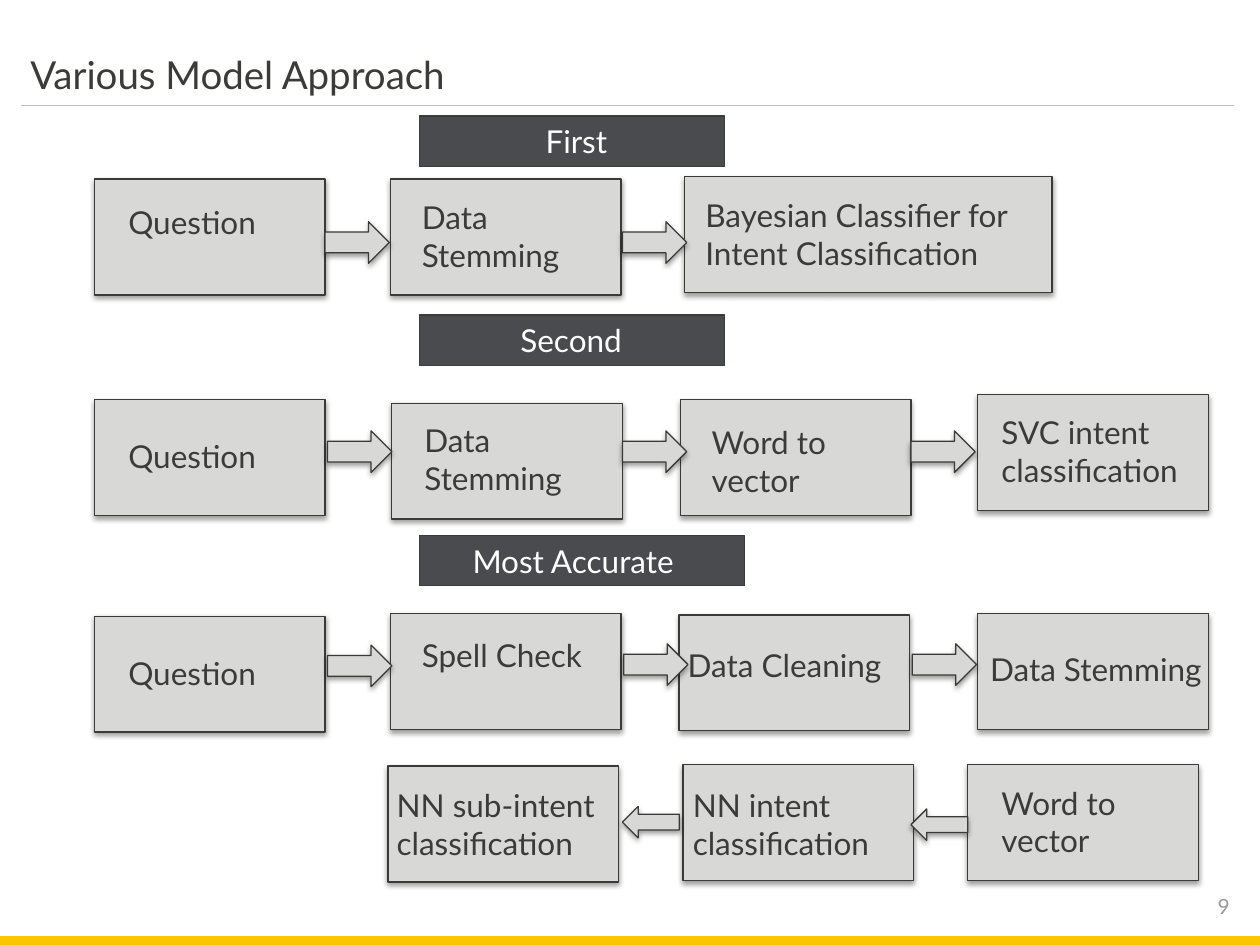
from lxml import etree
from pptx import Presentation
from pptx.dml.color import RGBColor
from pptx.enum.shapes import MSO_CONNECTOR, MSO_SHAPE
from pptx.enum.text import MSO_ANCHOR, PP_ALIGN
from pptx.oxml.ns import qn
from pptx.util import Inches, Pt

INK, OUTLINE, PANEL, BANNER = "3B3C39", "3A3B38", "D8D9D7", "494B4E"
STEP_WIDTH, STEP_HEIGHT = 1.83, 0.92
LINE_HEIGHTS = {1: 0.4, 2: 0.71}
ARROW_SIZES = {MSO_SHAPE.RIGHT_ARROW: (0.51, 0.33), MSO_SHAPE.LEFT_ARROW: (0.45, 0.25)}

# Banner: label, top, width, text indent
BANNERS = [
    ("First", 0.92, 2.42, 1.0),
    ("Second", 2.5, 2.42, 0.8),
    ("Most Accurate", 4.25, 2.58, 0.42),
]
# Row: top, arrow kind, steps, arrows (x, y).
# Step: label, lines, box (x, y, width), label offset in box (x, y), label width
ROWS = [
    (1.4, MSO_SHAPE.RIGHT_ARROW, [
        ("Question", 1, (0, 0.02, STEP_WIDTH), (0.17, 0.14), 1.5),
        ("Data Stemming", 2, (2.35, 0.02, STEP_WIDTH), (0.15, 0.1), 1.5),
        ("Bayesian Classifier for Intent Classification", 2,
         (4.68, 0, 2.92), (0.07, 0.11), 2.75),
    ], [(1.83, 0.36), (4.19, 0.36)]),
    (3.13, MSO_SHAPE.RIGHT_ARROW, [
        ("Question", 1, (0, 0.04, STEP_WIDTH), (0.17, 0.25), 1.5),
        ("Data Stemming", 2, (2.36, 0.07, STEP_WIDTH), (0.16, 0.09), 1.5),
        ("Word to vector", 2, (4.65, 0.04, STEP_WIDTH), (0.15, 0.14), 1.5),
        ("SVC intent classification", 2, (7.01, 0, STEP_WIDTH), (0.09, 0.1), 1.93),
    ], [(1.85, 0.29), (4.19, 0.29), (6.48, 0.29)]),
    (4.87, MSO_SHAPE.RIGHT_ARROW, [
        ("Question", 1, (0, 0.02, STEP_WIDTH), (0.17, 0.25), 1.5),
        ("Spell Check", 1, (2.35, 0, STEP_WIDTH), (0.15, 0.13), 1.83),
        ("Data Cleaning", 1, (4.64, 0.01, STEP_WIDTH), (-0.03, 0.2), 1.95),
        ("Data Stemming", 1, (7.01, 0, STEP_WIDTH), (0, 0.24), 1.93),
    ], [(1.85, 0.25), (4.2, 0.24), (6.49, 0.24)]),
    (6.07, MSO_SHAPE.LEFT_ARROW, [
        ("Word to vector", 2, (6.93, 0, STEP_WIDTH), (0.17, 0.1), 1.5),
        ("NN intent classification", 2, (4.67, 0, STEP_WIDTH), (-0.02, 0.12), 1.93),
        ("NN sub-intent classification", 2,
         (2.33, 0.01, STEP_WIDTH), (-0.03, 0.11), 1.93),
    ], [(6.48, 0.35), (4.19, 0.33)]),
]


def rgb(value):
    return RGBColor.from_string(value)


def write(shape, text, size=18, color=INK, align=PP_ALIGN.LEFT,
          anchor=MSO_ANCHOR.TOP, left=0.1, right=0.1):
    frame = shape.text_frame
    frame.word_wrap = True
    frame.vertical_anchor = anchor
    frame.margin_left, frame.margin_right = Inches(left), Inches(right)
    frame.margin_top = frame.margin_bottom = Inches(0.05)
    paragraph = frame.paragraphs[0]
    paragraph.alignment = align
    run = paragraph.add_run()
    run.text = text
    run.font.name, run.font.size = "Lato", Pt(size)
    run.font.color.rgb = rgb(color)


def add_text(slide, box, text, **text_format):
    write(slide.shapes.add_textbox(*map(Inches, box)), text, **text_format)


def add_block(slide, kind, box, fill, line=None):
    block = slide.shapes.add_shape(kind, *map(Inches, box))
    block.shadow.inherit = False
    block.fill.solid()
    block.fill.fore_color.rgb = rgb(fill)
    if line:
        block.line.color.rgb = rgb(line)
        block.line.width = Pt(0.75)
    else:
        block.line.fill.background()
    return block


def add_raised_block(slide, kind, box):
    """Add a grey flow element with a soft shadow below it."""
    block = add_block(slide, kind, box, PANEL, OUTLINE)
    effects = block._element.spPr.find(qn("a:effectLst"))
    shadow = etree.SubElement(effects, qn("a:outerShdw"), blurRad=str(Pt(3.1)),
                              dist=str(Pt(1.6)), dir="5400000", rotWithShape="0")
    tint = etree.SubElement(shadow, qn("a:srgbClr"), val="000000")
    etree.SubElement(tint, qn("a:alpha"), val="38000")


def add_header(slide, left, top, width, title):
    add_text(slide, (left + 0.07, top, width - 0.24, 0.49), title, size=22,
             anchor=MSO_ANCHOR.BOTTOM, left=0)
    rule = slide.shapes.add_connector(
        MSO_CONNECTOR.STRAIGHT, Inches(left), Inches(top + 0.51),
        Inches(left + width), Inches(top + 0.51))
    rule.line.color.rgb = rgb("BFBFBF")
    rule.line.width = Pt(0.75)
    etree.SubElement(rule._element.spPr, qn("a:effectLst"))


def add_footer(slide, left, top, width, number):
    add_text(slide, (left + 7.21, top, 2.69, 0.3), number, size=12,
             color="9A999B", align=PP_ALIGN.RIGHT, right=0.14)
    add_block(slide, MSO_SHAPE.RECTANGLE, (left, top + 0.39, width, 0.08), "FBC600")


def add_banner(slide, left, top, width, label, indent):
    banner = add_block(slide, MSO_SHAPE.RECTANGLE, (left, top, width, 0.4), BANNER, INK)
    write(banner, label, color="FFFFFF", left=indent)


def add_flow_row(slide, left, top, arrow_kind, steps, arrows):
    for label, lines, (x, y, width), (label_x, label_y), label_width in steps:
        x, y = left + x, top + y
        add_raised_block(slide, MSO_SHAPE.FLOWCHART_PROCESS, (x, y, width, STEP_HEIGHT))
        add_text(slide, (x + label_x, y + label_y, label_width, LINE_HEIGHTS[lines]), label)
    for x, y in arrows:
        add_raised_block(slide, arrow_kind, (left + x, top + y, *ARROW_SIZES[arrow_kind]))


def main():
    deck = Presentation()
    deck.slide_width, deck.slide_height = Inches(10), Inches(7.5)
    slide = deck.slides.add_slide(deck.slide_layouts[6])
    add_footer(slide, 0, 7.04, 10, "9")
    add_header(slide, 0.17, 0.33, 9.62, "Various Model Approach")
    for label, top, width, indent in BANNERS:
        add_banner(slide, 3.33, top, width, label, indent)
    for top, arrow_kind, steps, arrows in ROWS:
        add_flow_row(slide, 0.75, top, arrow_kind, steps, arrows)
    deck.save("out.pptx")


if __name__ == "__main__":
    main()
